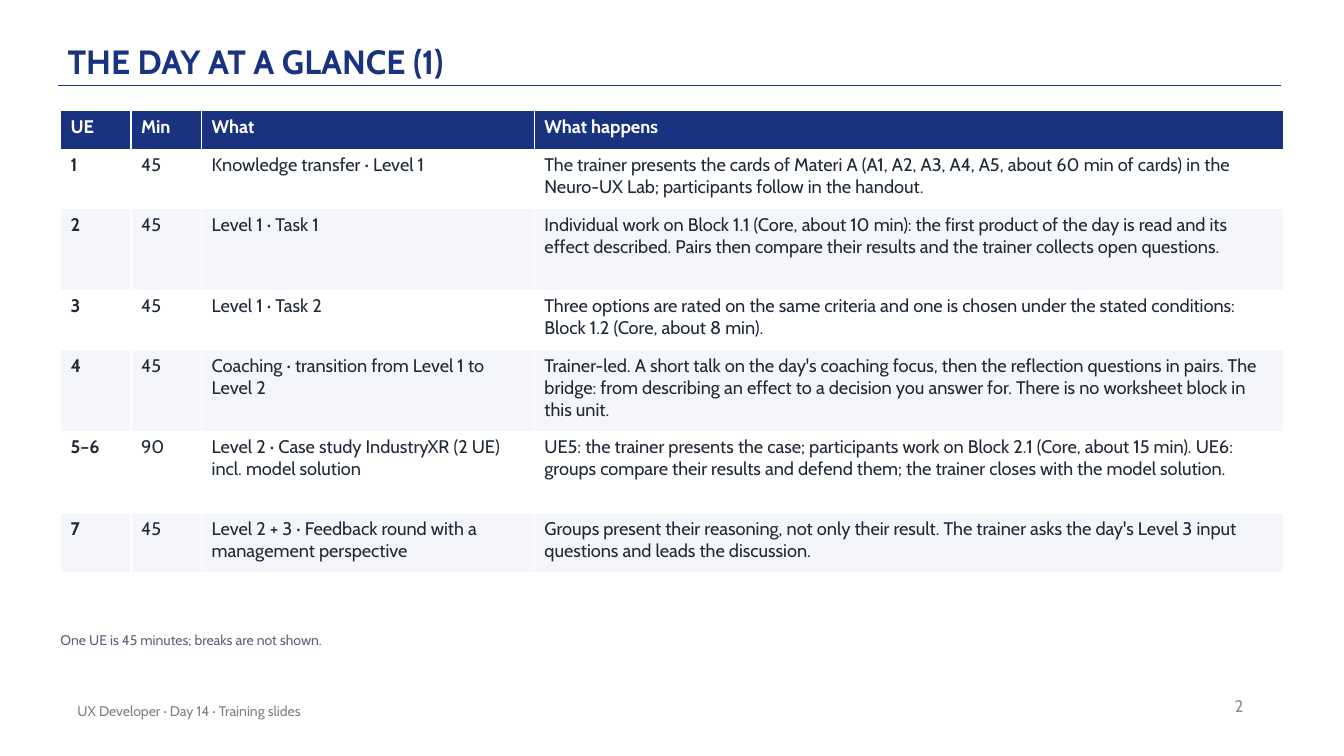
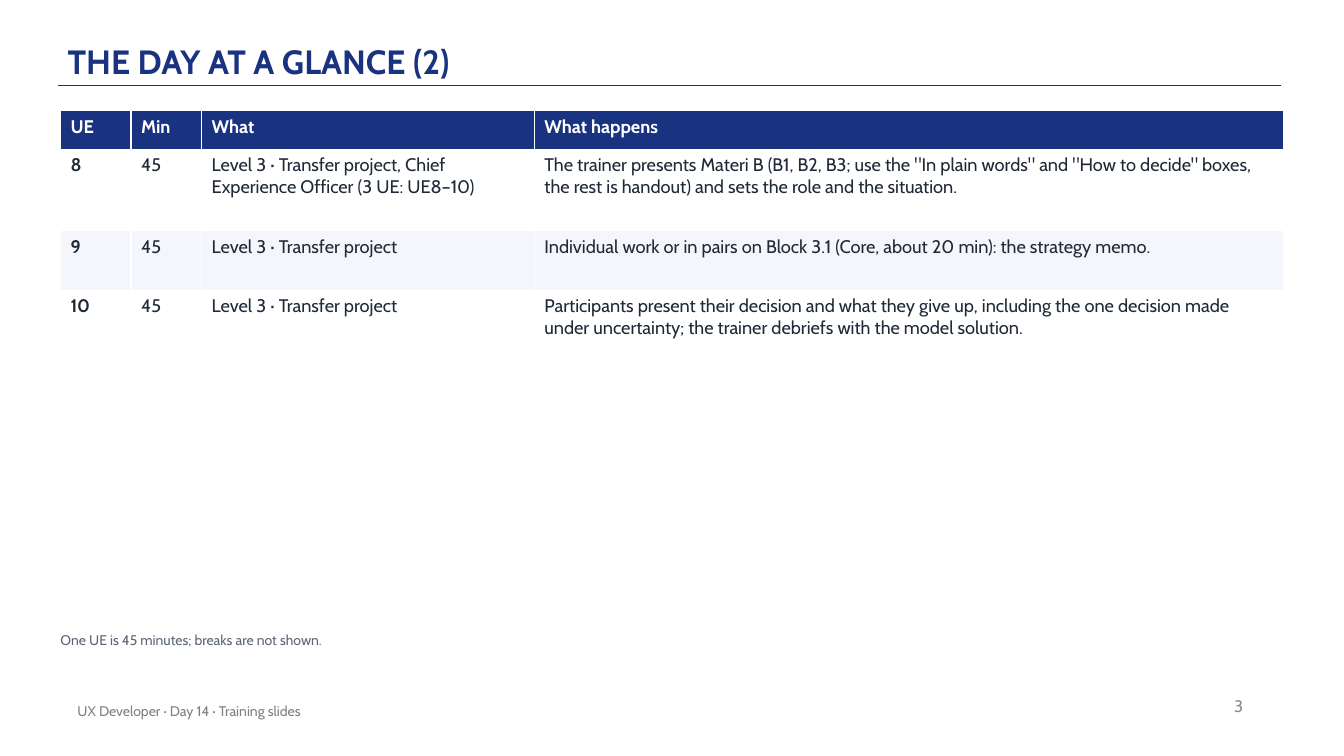
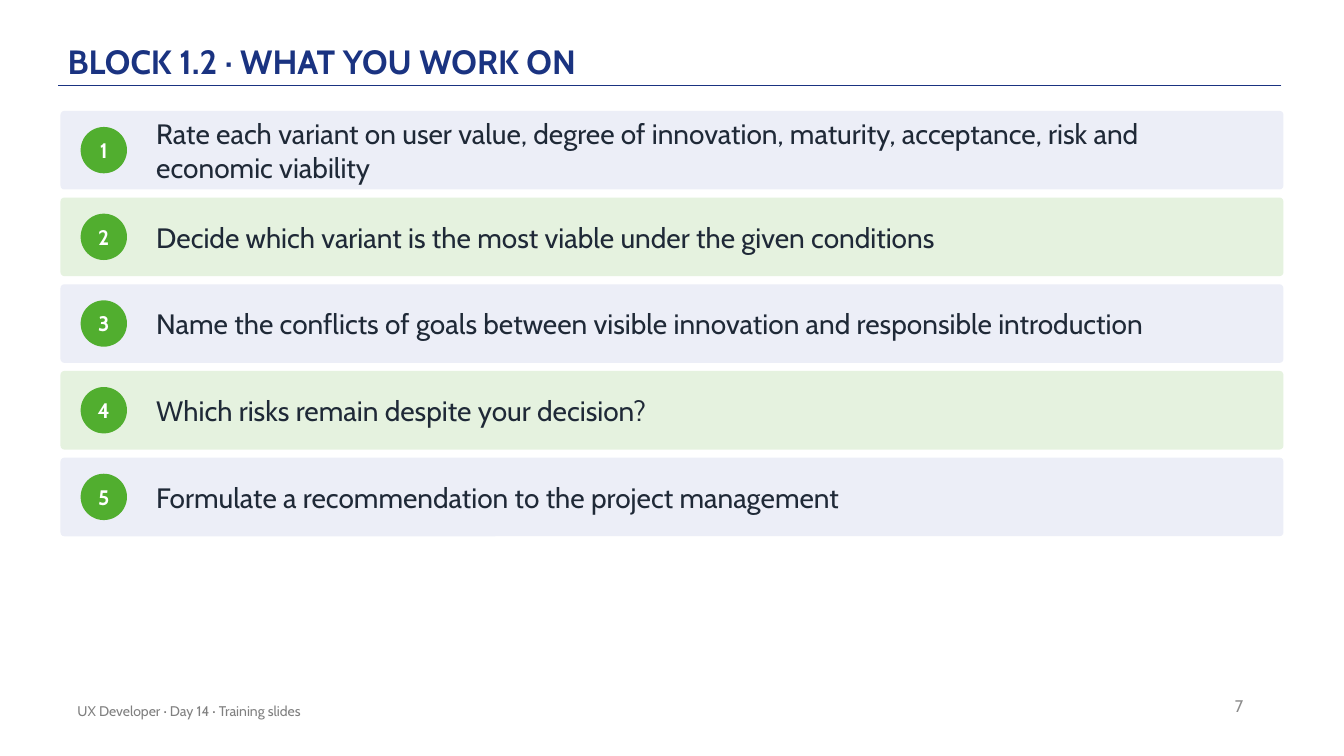
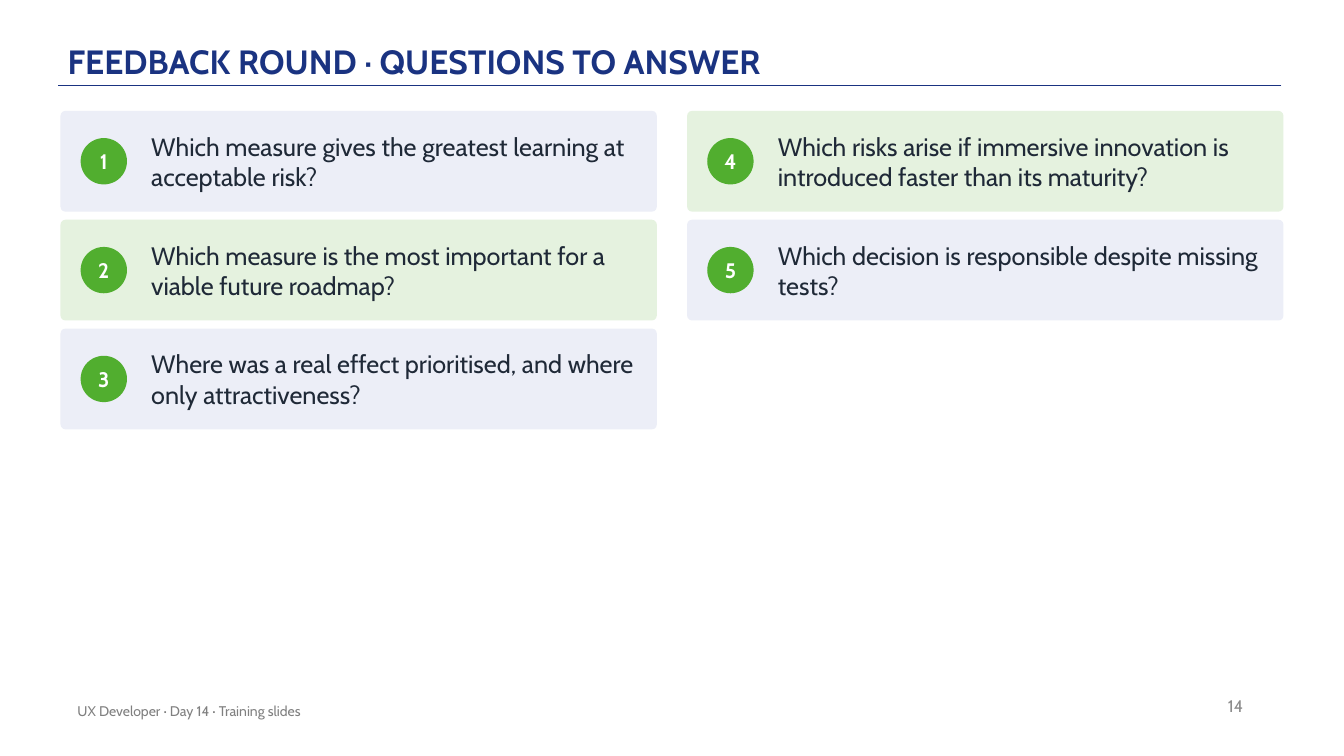
from lxml import etree
from pptx import Presentation
from pptx.dml.color import RGBColor
from pptx.enum.shapes import MSO_CONNECTOR as Connector, MSO_SHAPE as Shape
from pptx.enum.text import MSO_ANCHOR as Anchor, MSO_AUTO_SIZE as AutoSize, PP_ALIGN as Align
from pptx.oxml.ns import qn
from pptx.util import Inches, Pt

# Colours and font
FONT = "Cabin"
NAVY = RGBColor(0x1A, 0x33, 0x81)
GREEN = RGBColor(0x51, 0xAE, 0x2F)
INK = RGBColor(0x1F, 0x29, 0x37)
WHITE = RGBColor(0xFF, 0xFF, 0xFF)
SLATE = RGBColor(0x5B, 0x65, 0x77)
NUMBER_GREY = RGBColor(0x8C, 0x8C, 0x8C)
FOOTER_GREY = RGBColor(0x80, 0x80, 0x80)
ROW_FILLS = (WHITE, RGBColor(0xF4, 0xF6, 0xFB))
CARD_FILLS = (RGBColor(0xEC, 0xEE, 0xF7), RGBColor(0xE5, 0xF2, 0xDF))

# Shared grid, in inches
SLIDE_WIDTH, SLIDE_HEIGHT = 13.33, 7.5
LEFT, TOP, WIDTH = 0.6, 1.1, 12.13
COLUMN_GAP, CARD_GAP = 0.3, 0.08
BADGE_SIZE, BADGE_INDENT = 0.46, 0.2
NARROW, MIDDLE = 0.7, 3.3
TABLE_COLUMNS = (NARROW, NARROW, MIDDLE, WIDTH - 2 * NARROW - MIDDLE)
HEADER_HEIGHT, ROW_PADDING, LINE_HEIGHT = 0.38, 0.15, 0.22

FOOTER = "UX Developer · Day 14 · Training slides"
TABLE_NOTE = "One UE is 45 minutes; breaks are not shown."
TABLE_HEADER = ("UE", "Min", "What", "What happens")

# Each row: lines of height, then the four cells
MORNING = [
    (2, "1", "45", "Knowledge transfer · Level 1",
     "The trainer presents the cards of Materi A (A1, A2, A3, A4, A5, about 60 min of cards) "
     "in the Neuro-UX Lab; participants follow in the handout."),
    (3, "2", "45", "Level 1 · Task 1",
     "Individual work on Block 1.1 (Core, about 10 min): the first product of the day is read "
     "and its effect described. Pairs then compare their results and the trainer collects "
     "open questions."),
    (2, "3", "45", "Level 1 · Task 2",
     "Three options are rated on the same criteria and one is chosen under the stated "
     "conditions: Block 1.2 (Core, about 8 min)."),
    (3, "4", "45", "Coaching · transition from Level 1 to Level 2",
     "Trainer-led. A short talk on the day's coaching focus, then the reflection questions in "
     "pairs. The bridge: from describing an effect to a decision you answer for. There is no "
     "worksheet block in this unit."),
    (3, "5–6", "90", "Level 2 · Case study IndustryXR (2 UE) incl. model solution",
     "UE5: the trainer presents the case; participants work on Block 2.1 (Core, about 15 min). "
     "UE6: groups compare their results and defend them; the trainer closes with the model "
     "solution."),
    (2, "7", "45", "Level 2 + 3 · Feedback round with a management perspective",
     "Groups present their reasoning, not only their result. The trainer asks the day's "
     "Level 3 input questions and leads the discussion."),
]
AFTERNOON = [
    (3, "8", "45", "Level 3 · Transfer project, Chief Experience Officer (3 UE: UE8–10)",
     'The trainer presents Materi B (B1, B2, B3; use the "In plain words" and "How to decide" '
     "boxes, the rest is handout) and sets the role and the situation."),
    (2, "9", "45", "Level 3 · Transfer project",
     "Individual work or in pairs on Block 3.1 (Core, about 20 min): the strategy memo."),
    (3, "10", "45", "Level 3 · Transfer project",
     "Participants present their decision and what they give up, including the one decision "
     "made under uncertainty; the trainer debriefs with the model solution."),
]
TASKS = [
    "Rate each variant on user value, degree of innovation, maturity, acceptance, risk and "
    "economic viability",
    "Decide which variant is the most viable under the given conditions",
    "Name the conflicts of goals between visible innovation and responsible introduction",
    "Which risks remain despite your decision?",
    "Formulate a recommendation to the project management",
]
QUESTIONS = [
    "Which measure gives the greatest learning at acceptable risk?",
    "Which measure is the most important for a viable future roadmap?",
    "Where was a real effect prioritised, and where only attractiveness?",
    "Which risks arise if immersive innovation is introduced faster than its maturity?",
    "Which decision is responsible despite missing tests?",
]


def inches(*lengths):
    return [Inches(length) for length in lengths]


def write(frame, text, size, color, bold=False, align=Align.LEFT):
    """Put one formatted paragraph into a text frame and return it."""
    para = frame.paragraphs[0]
    para.text = text
    para.alignment = align
    font = para.font
    font.name, font.size, font.bold = FONT, Pt(size), bold
    font.color.rgb = color
    return para


def set_insets(frame, side=0, end=0):
    frame.margin_left = frame.margin_right = Inches(side)
    frame.margin_top = frame.margin_bottom = Inches(end)


def add_text(slide, place, text, size, color, side=0, end=0,
             anchor=Anchor.MIDDLE, align=Align.LEFT):
    frame = slide.shapes.add_textbox(*inches(*place)).text_frame
    frame.word_wrap = True
    frame.vertical_anchor = anchor
    set_insets(frame, side, end)
    write(frame, text, size, color, align=align)


def add_filled(slide, kind, place, color):
    shape = slide.shapes.add_shape(kind, *inches(*place))
    shape.shadow.inherit = False
    shape.fill.solid()
    shape.fill.fore_color.rgb = color
    shape.line.fill.background()
    return shape


def add_page(deck, title, number):
    """Title-only slide with the rule, page number and footer."""
    slide = deck.slides.add_slide(deck.slide_layouts[5])

    rule = slide.shapes.add_connector(
        Connector.STRAIGHT, *inches(12.71, 0.85, 0.58, 0.85))
    rule.line.color.rgb = NAVY
    rule.line.width = Pt(1)
    etree.SubElement(rule.element.spPr, qn("a:effectLst"))

    heading = slide.shapes.title
    heading.left, heading.top, heading.width, heading.height = inches(0.67, 0.12, 11, 0.72)
    frame = heading.text_frame
    frame.auto_size = AutoSize.NONE
    frame.word_wrap = True
    frame.vertical_anchor = Anchor.BOTTOM
    set_insets(frame, end=0.03)
    write(frame, title, 24, NAVY, bold=True).line_spacing = 0.9

    add_text(slide, (9.43, 6.8, 3, 0.4), str(number), 12, NUMBER_GREY,
             side=0.1, end=0.05, align=Align.RIGHT)
    add_text(slide, (0.67, 6.85, 6.7, 0.4), FOOTER, 10, FOOTER_GREY, side=0.1, end=0.05)
    return slide


def fill_cell(cell, text, fill, color, bold):
    cell.fill.solid()
    cell.fill.fore_color.rgb = fill
    write(cell.text_frame, text, 13, color, bold)


def add_schedule(slide, entries):
    """Timetable with a navy header, striped rows and a note below."""
    heights = [HEADER_HEIGHT] + [ROW_PADDING + LINE_HEIGHT * entry[0] for entry in entries]
    table = slide.shapes.add_table(
        len(heights), len(TABLE_COLUMNS), *inches(LEFT, TOP, WIDTH, sum(heights))).table
    for column, width in zip(table.columns, TABLE_COLUMNS):
        column.width = Inches(width)
    for row, height in zip(table.rows, heights):
        row.height = Inches(height)

    for cell, text in zip(table.rows[0].cells, TABLE_HEADER):
        fill_cell(cell, text, NAVY, WHITE, bold=True)
    for index, (_, *texts) in enumerate(entries):
        for column, text in enumerate(texts):
            fill_cell(table.cell(index + 1, column), text, ROW_FILLS[index % 2], INK,
                      bold=column == 0)

    add_text(slide, (LEFT, 6.27, WIDTH, 0.3), TABLE_NOTE, 10, SLATE, anchor=Anchor.TOP)


def add_card(slide, left, top, width, height, index, text, size, padding):
    """Tinted card with a numbered badge and its text."""
    card = add_filled(slide, Shape.ROUNDED_RECTANGLE, (left, top, width, height),
                      CARD_FILLS[index % 2])
    card.adjustments[0] = 0.05

    badge = add_filled(
        slide, Shape.OVAL,
        (left + BADGE_INDENT, top + (height - BADGE_SIZE) / 2, BADGE_SIZE, BADGE_SIZE), GREEN)
    set_insets(badge.text_frame)
    badge.text_frame.vertical_anchor = Anchor.MIDDLE
    write(badge.text_frame, str(index + 1), 15, WHITE, bold=True, align=Align.CENTER)

    indent = 0.7 + padding
    add_text(slide, (left + indent, top, width - indent - padding, height), text, size, INK)


def add_cards(slide, texts, columns, height, size, padding):
    """Numbered cards, running down each column in turn."""
    rows = -(-len(texts) // columns)
    width = (WIDTH - COLUMN_GAP * (columns - 1)) / columns
    for index, text in enumerate(texts):
        column, row = divmod(index, rows)
        add_card(slide, LEFT + column * (width + COLUMN_GAP), TOP + row * (height + CARD_GAP),
                 width, height, index, text, size, padding)


def main():
    deck = Presentation()
    deck.slide_width, deck.slide_height = inches(SLIDE_WIDTH, SLIDE_HEIGHT)

    # Timetable
    add_schedule(add_page(deck, "THE DAY AT A GLANCE (1)", 2), MORNING)
    add_schedule(add_page(deck, "THE DAY AT A GLANCE (2)", 3), AFTERNOON)

    # Numbered cards
    add_cards(add_page(deck, "BLOCK 1.2 · WHAT YOU WORK ON", 7), TASKS,
              columns=1, height=0.78, size=20, padding=0.25)
    add_cards(add_page(deck, "FEEDBACK ROUND · QUESTIONS TO ANSWER", 14), QUESTIONS,
              columns=2, height=1, size=18, padding=0.2)

    deck.save("out.pptx")


if __name__ == "__main__":
    main()
